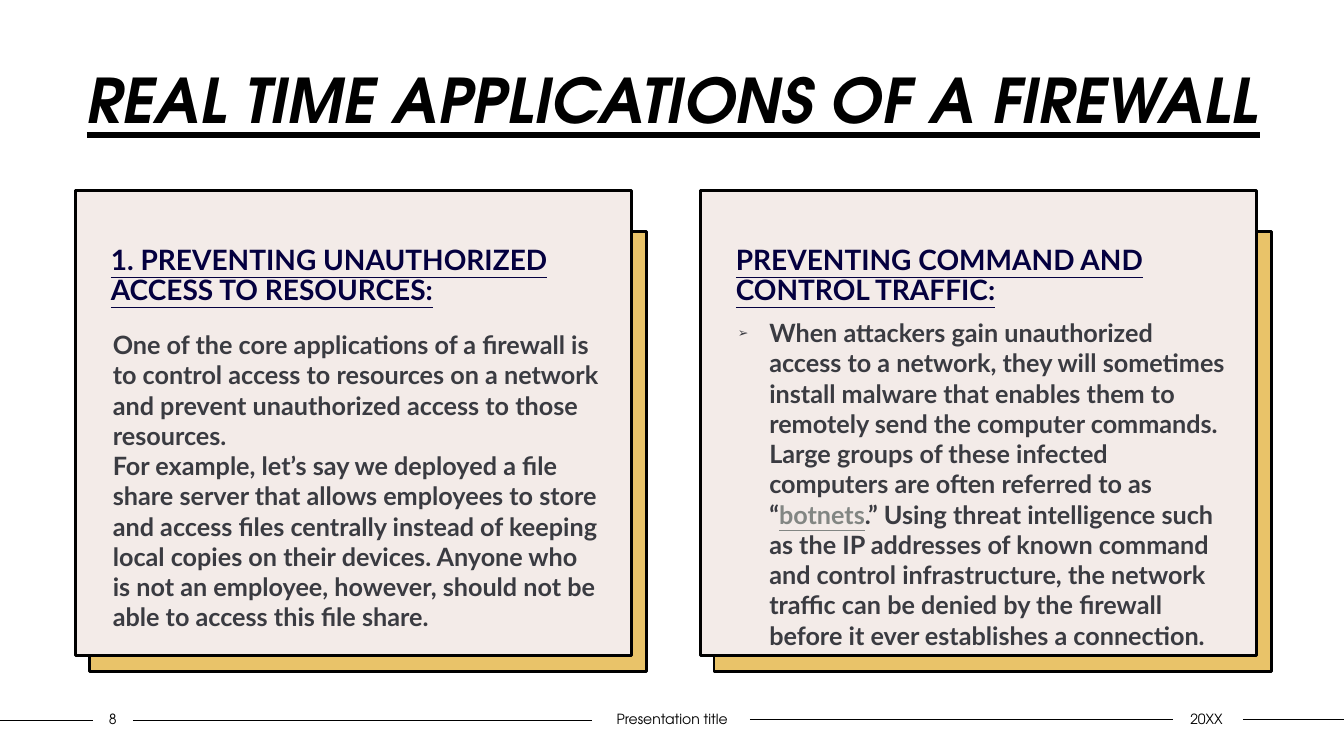
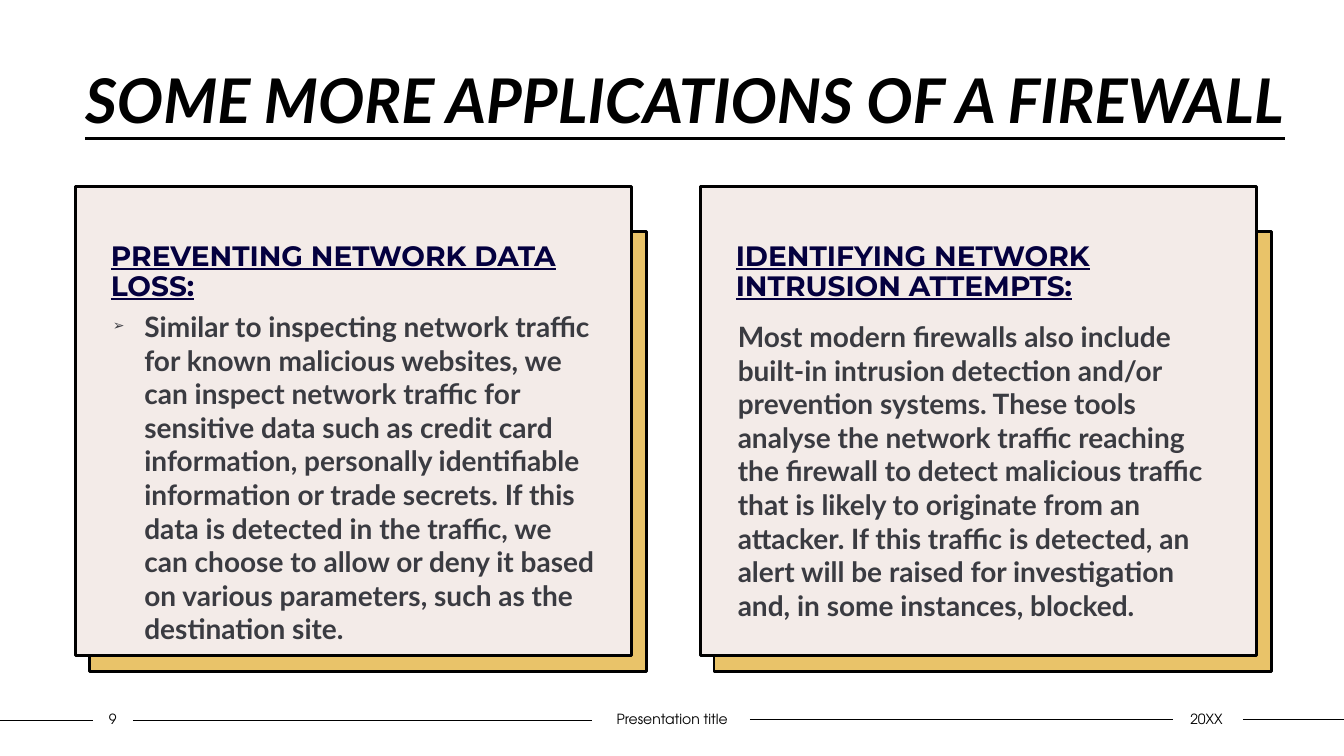
import pptx
import pptx.util
import pptx.dml.color
import pptx.enum.shapes
import pptx.enum.text
import lxml.etree

Pt = pptx.util.Pt
ANCHOR = pptx.enum.text.MSO_ANCHOR
ALIGN = pptx.enum.text.PP_ALIGN
DRAWING = "{http://schemas.openxmlformats.org/drawingml/2006/main}"

COLORS = {"black": "000000", "gold": "E9C369", "card": "F3EBE8",
          "heading": "04003F", "body": "3A3B41", "link": "828683"}
DISPLAY, TEXT = "TeX Gyre Adventor", "Lato"
COLUMNS = [54, 500.4]
CARD_WIDTH, CARD_BOTTOM = 397.4, 468

TITLE = {"size": Pt(44), "bold": True, "italic": True, "underline": True}
HEADING = {"size": Pt(20), "bold": True, "underline": True}
FOOTER = {"size": Pt(10), "name": DISPLAY}

SLIDES = [
    {"number": "8", "title": "REAL TIME APPLICATIONS OF A FIREWALL",
     "title_font": DISPLAY, "title_left": 10.8, "heading_font": TEXT,
     "card_top": 136.1, "body_size": 18,
     "cards": [
         {"heading": "1. PREVENTING UNAUTHORIZED ACCESS TO RESOURCES:",
          "top": 231.8, "bullet": False,
          "paragraphs": [
              [("One of the core applications of a firewall is to control access to resources "
                "on a network and prevent unauthorized access to those resources.", "body")],
              [("For example, let’s say we deployed a file share server that allows employees "
                "to store and access files centrally instead of keeping local copies on their "
                "devices. Anyone who is not an employee, however, should not be able to access "
                "this file share.", "body")]]},
         {"heading": "PREVENTING COMMAND AND CONTROL TRAFFIC:",
          "top": 223.2, "bullet": True,
          "paragraphs": [
              [("When attackers gain unauthorized access to a network, they will sometimes "
                "install malware that enables them to remotely send the computer commands. "
                "Large groups of these infected computers are often referred to as “", "body"),
               ("botnets", "link"),
               (".” Using threat intelligence such as the IP addresses of known command and "
                "control infrastructure, the network traffic can be denied by the firewall "
                "before it ever establishes a connection.", "body")]]}]},
    {"number": "9", "title": "SOME MORE APPLICATIONS OF A FIREWALL",
     "title_font": TEXT, "title_left": 19.4, "heading_font": "Montserrat",
     "card_top": 133.2, "body_size": 20,
     "cards": [
         {"heading": "PREVENTING NETWORK DATA LOSS:",
          "top": 217.4, "bullet": True,
          "paragraphs": [
              [("Similar to inspecting network traffic for known malicious websites, we can "
                "inspect network traffic for sensitive data such as credit card information, "
                "personally identifiable information or trade secrets. If this data is detected "
                "in the traffic, we can choose to allow or deny it based on various parameters, "
                "such as the destination site.", "body")]]},
         {"heading": "IDENTIFYING NETWORK INTRUSION ATTEMPTS:",
          "top": 224.6, "bullet": False,
          "paragraphs": [
              [("Most modern firewalls also include built-in intrusion detection and/or "
                "prevention systems. These tools analyse the network traffic reaching the "
                "firewall to detect malicious traffic that is likely to originate from an "
                "attacker. If this traffic is detected, an alert will be raised for "
                "investigation and, in some instances, blocked.", "body")]]}]},
]


def set_up_box(shape, left, top, width, height, margins, anchor=ANCHOR.TOP):
    """Place a text shape and return its frame."""
    shape.left, shape.top, shape.width, shape.height = map(Pt, (left, top, width, height))
    frame = shape.text_frame
    values = {"word_wrap": True, "auto_size": pptx.enum.text.MSO_AUTO_SIZE.NONE,
              "vertical_anchor": anchor}
    sides = ("margin_left", "margin_top", "margin_right", "margin_bottom")
    values.update(zip(sides, map(Pt, margins)))
    for name, value in values.items():
        setattr(frame, name, value)
    return frame


def add_text(paragraph, text, color, formats, align=ALIGN.LEFT, spacing=1.0):
    """Append one formatted run to a paragraph."""
    paragraph.alignment = align
    paragraph.line_spacing = spacing
    paragraph.space_before = Pt(0)
    run = paragraph.add_run()
    run.text = text
    for name, value in formats.items():
        setattr(run.font, name, value)
    run.font.color.rgb = pptx.dml.color.RGBColor.from_string(COLORS[color])


presentation = pptx.Presentation()
presentation.slide_width, presentation.slide_height = Pt(960), Pt(540)
layout = presentation.slide_layouts.get_by_name("Comparison")

# The layout's own footers give way to the text boxes below
for placeholder in list(layout.placeholders):
    if placeholder.placeholder_format.idx >= 10:
        layout.shapes._spTree.remove(placeholder._element)

slides = [presentation.slides.add_slide(layout) for _ in SLIDES]

# Shared decoration, made once and moved to the layout
decoration = []
for start, end, y in [(0, 66.2, 514.8), (95, 422.6, 514.8),
                      (535.7, 838, 514.1), (887.8, 960, 514.1)]:
    line = slides[0].shapes.add_connector(
        pptx.enum.shapes.MSO_CONNECTOR.STRAIGHT, Pt(start), Pt(y), Pt(end), Pt(y))
    line.line.width = Pt(1)
    line.line.color.rgb = pptx.dml.color.RGBColor.from_string(COLORS["black"])
    lxml.etree.SubElement(line._element.spPr, DRAWING + "effectLst")
    decoration.append(line)
for left in COLUMNS:
    backing = slides[0].shapes.add_shape(
        pptx.enum.shapes.MSO_SHAPE.RECTANGLE, Pt(left + 9.7), Pt(165.6), Pt(398.2), Pt(313.9))
    backing.shadow.inherit = False
    backing.fill.solid()
    backing.fill.fore_color.rgb = pptx.dml.color.RGBColor.from_string(COLORS["gold"])
    backing.line.width = Pt(2)
    backing.line.color.rgb = pptx.dml.color.RGBColor.from_string(COLORS["black"])
    decoration.append(backing)
for shape in decoration:
    layout.shapes._spTree.append(shape._element)

for slide, content in zip(slides, SLIDES):
    # Title
    frame = set_up_box(slide.shapes.title, content["title_left"], 40.3, 940.3, 79.9,
                       (7.2, 3.6, 7.2, 3.6))
    add_text(frame.paragraphs[0], content["title"], "black",
             {**TITLE, "name": content["title_font"]}, ALIGN.CENTER)

    for column, (left, card) in enumerate(zip(COLUMNS, content["cards"])):
        # Card with its heading
        shape = slide.placeholders[1 + 2 * column]
        frame = set_up_box(shape, left, content["card_top"], CARD_WIDTH,
                           CARD_BOTTOM - content["card_top"], (25.2, 39.6, 7.2, 3.6))
        shape.fill.solid()
        shape.fill.fore_color.rgb = pptx.dml.color.RGBColor.from_string(COLORS["card"])
        shape.line.width = Pt(2)
        shape.line.color.rgb = pptx.dml.color.RGBColor.from_string(COLORS["black"])
        add_text(frame.paragraphs[0], card["heading"], "heading",
                 {**HEADING, "name": content["heading_font"]}, spacing=0.9)

        # Card text
        frame = set_up_box(slide.placeholders[2 + 2 * column], left + 19.4, card["top"],
                           362.9, 451.2 - card["top"], (7.2, 3.6, 7.2, 3.6))
        for index, runs in enumerate(card["paragraphs"]):
            paragraph = frame.add_paragraph() if index else frame.paragraphs[0]
            for text, color in runs:
                add_text(paragraph, text, color,
                         {"size": Pt(content["body_size"]), "name": TEXT, "bold": True,
                          "underline": color == "link"})
            properties = paragraph._p.get_or_add_pPr()
            indent = Pt(22.5) if card["bullet"] else 0
            properties.set("marL", str(indent))
            properties.set("indent", str(-indent))
            if card["bullet"]:
                lxml.etree.SubElement(properties, DRAWING + "buSzPct", val="50000")
                lxml.etree.SubElement(properties, DRAWING + "buChar", char="➢")
            else:
                lxml.etree.SubElement(properties, DRAWING + "buNone")

    # Footer
    for text, left, width in [(content["number"], 66.2, 28.8),
                              ("Presentation title", 422.6, 115.2), ("20XX", 836.6, 50.4)]:
        box = slide.shapes.add_textbox(0, 0, 0, 0)
        frame = set_up_box(box, left, 504, width, 19.4, (0, 3.6, 0, 3.6), ANCHOR.MIDDLE)
        add_text(frame.paragraphs[0], text, "black", FOOTER, ALIGN.CENTER)

presentation.save("out.pptx")
